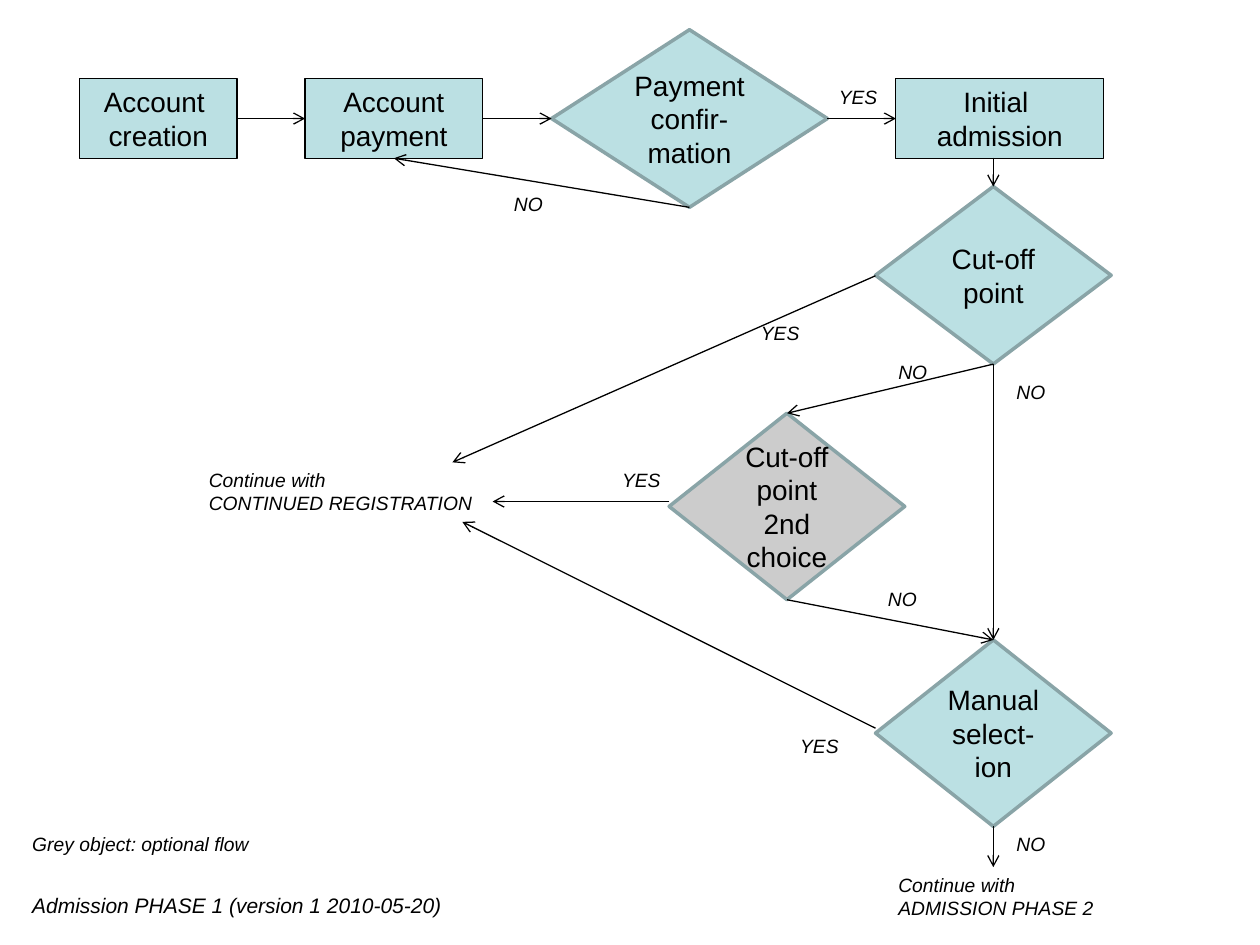
from lxml.etree import SubElement
from pptx import Presentation
from pptx.dml.color import RGBColor
from pptx.enum.shapes import MSO_CONNECTOR, MSO_SHAPE
from pptx.enum.text import MSO_ANCHOR, MSO_AUTO_SIZE, PP_ALIGN
from pptx.oxml.ns import qn
from pptx.util import Cm, Pt

BLUE, GREY, BORDER, BLACK = "BBE0E3", "CCCCCC", "89A4A7", "000000"
LABEL_WIDTH, LABEL_HEIGHT = 1.4, 0.74
BOX_HEIGHT = 1.6
DIAMOND_WIDTH = 4.75


def color(value):
    return RGBColor.from_string(value)


def write_text(frame, text, size=11, italic=False, align=PP_ALIGN.LEFT,
               anchor=MSO_ANCHOR.TOP, wrap=True):
    frame.word_wrap = wrap
    frame.vertical_anchor = anchor
    for index, line in enumerate(text.split("\n")):
        paragraph = frame.paragraphs[0] if index == 0 else frame.add_paragraph()
        paragraph.alignment = align
        run = paragraph.add_run()
        run.text = line
        run.font.name = "Arial"
        run.font.size = Pt(size)
        run.font.italic = italic
        run.font.color.rgb = color(BLACK)


def add_note(slide, text, left, top, width=LABEL_WIDTH, height=LABEL_HEIGHT, size=11):
    note = slide.shapes.add_textbox(Cm(left), Cm(top), Cm(width), Cm(height))
    write_text(note.text_frame, text, size=size, italic=True)
    note.text_frame.auto_size = MSO_AUTO_SIZE.SHAPE_TO_FIT_TEXT


def add_step(slide, kind, text, left, top, width, height, fill, border, weight, wrap):
    step = slide.shapes.add_shape(kind, Cm(left), Cm(top), Cm(width), Cm(height))
    step.shadow.inherit = False
    step.fill.solid()
    step.fill.fore_color.rgb = color(fill)
    step.line.color.rgb = color(border)
    step.line.width = Pt(weight)
    write_text(step.text_frame, text, size=16, align=PP_ALIGN.CENTER,
               anchor=MSO_ANCHOR.MIDDLE, wrap=wrap)


def add_process(slide, text, left, top, width):
    add_step(slide, MSO_SHAPE.RECTANGLE, text, left, top, width, BOX_HEIGHT,
             BLUE, BLACK, 0.75, False)


def add_decision(slide, text, left, top, width, height, fill=BLUE):
    add_step(slide, MSO_SHAPE.FLOWCHART_DECISION, text, left, top, width, height,
             fill, BORDER, 2, True)


def add_arrow(slide, start, end):
    arrow = slide.shapes.add_connector(
        MSO_CONNECTOR.STRAIGHT, *(Cm(value) for value in (*start, *end)))
    arrow.line.color.rgb = color(BLACK)
    arrow.line.width = Pt(0.75)
    SubElement(arrow.line._get_or_add_ln(), qn("a:tailEnd"), type="arrow")
    SubElement(arrow._element.spPr, qn("a:effectLst"))


def add_payment_row(slide, left, top):
    diamond_width, diamond_height = 5.56, 3.58
    middle = top + diamond_height / 2
    box_top = middle - BOX_HEIGHT / 2
    payment, confirmation, admission = left + 4.55, left + 9.52, left + 16.46
    creation_width, payment_width = 3.18, 3.58
    add_process(slide, "Account \ncreation", left, box_top, creation_width)
    add_process(slide, "Account\npayment", payment, box_top, payment_width)
    add_decision(slide, "Payment confir-\nmation", confirmation, top,
                 diamond_width, diamond_height)
    add_process(slide, "Initial \nadmission", admission, box_top, 4.19)
    gaps = [(left + creation_width, payment),
            (payment + payment_width, confirmation),
            (confirmation + diamond_width, admission)]
    for start, end in gaps:
        add_arrow(slide, (start, middle), (end, middle))
    add_arrow(slide, (confirmation + diamond_width / 2, top + diamond_height),
              (payment + payment_width / 2, box_top + BOX_HEIGHT))
    add_note(slide, "YES", left + 15.06, top + 1)
    add_note(slide, "NO", left + 8.51, top + 3.16)


def add_selection_column(slide, left, top):
    column = left + 4.16
    center = column + DIAMOND_WIDTH / 2
    second_center = left + DIAMOND_WIDTH / 2
    cutoff, second, manual = top + 0.58, top + 5.15, top + 9.72
    cutoff_height, height = 3.58, 3.76
    cutoff_bottom = cutoff + cutoff_height
    bottom = top + 14.3
    add_decision(slide, "Cut-off point", column, cutoff, DIAMOND_WIDTH, cutoff_height)
    add_decision(slide, "Cut-off point 2nd choice", left, second,
                 DIAMOND_WIDTH, height, GREY)
    add_decision(slide, "Manual select-\nion", column, manual, DIAMOND_WIDTH, height)
    add_arrow(slide, (center, top), (center, cutoff))
    add_arrow(slide, (center, cutoff_bottom), (second_center, second))
    add_arrow(slide, (center, cutoff_bottom), (center, manual))
    add_arrow(slide, (second_center, second + height), (center, manual))
    add_arrow(slide, (center, manual + height), (center, bottom))
    for x, y in [(4.37, 3.96), (6.75, 4.36), (4.16, 8.53), (6.75, 13.48)]:
        add_note(slide, "NO", left + x, top + y)
    add_note(slide, "Continue with\nADMISSION PHASE 2", left + 4.37, bottom, 4.78, 1.19)


def add_registration_branch(slide, left, top):
    add_note(slide, "Continue with\nCONTINUED REGISTRATION", left, top + 3.76, 5.94, 1.19)
    branches = [
        ((13.69, 0), (5.16, 3.76), (11.13, 0.79)),
        ((9.53, 4.55), (5.97, 4.55), (8.33, 3.76)),
        ((13.69, 9.12), (5.36, 4.96), (11.92, 9.12)),
    ]
    for branch in branches:
        start, end, label = [(left + x, top + y) for x, y in branch]
        add_arrow(slide, start, end)
        add_note(slide, "YES", *label)


def add_footer(slide, left, top):
    add_note(slide, "Grey object: optional flow", left, top, 5.94)
    add_note(slide, "Admission PHASE 1 (version 1 2010-05-20)", left, top + 1.2,
             9.02, 0.76, size=12)


def main():
    presentation = Presentation()
    presentation.slide_width = Cm(25.4)
    presentation.slide_height = Cm(19.05)
    slide = presentation.slides.add_slide(presentation.slide_layouts[6])
    add_payment_row(slide, 1.6, 0.6)
    add_selection_column(slide, 13.49, 3.18)
    add_registration_branch(slide, 3.96, 5.56)
    add_footer(slide, 0.4, 16.66)
    presentation.save("out.pptx")


if __name__ == "__main__":
    main()
